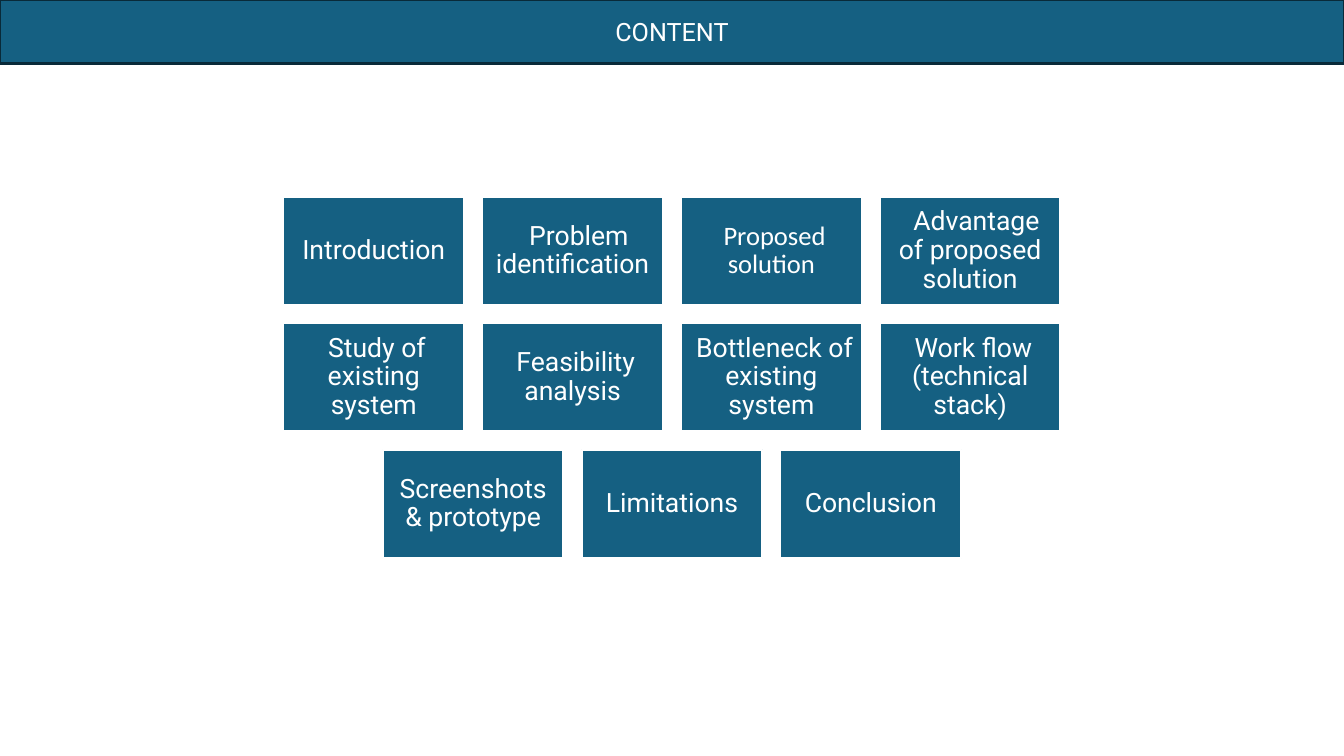
from pptx import Presentation
from pptx.dml.color import RGBColor
from pptx.enum.shapes import MSO_SHAPE as Preset
from pptx.enum.text import MSO_ANCHOR as Anchor, PP_ALIGN as Align
from pptx.util import Pt

TITLE = "CONTENT"
ROWS = [
    [("Introduction", 0, "Roboto"), ("Problem identification", 9, "Roboto"),
     ("Proposed solution", 4.5, "Calibri"), ("Advantage of proposed solution", 9, "Roboto")],
    [("Study of existing system", 4.5, "Roboto"), ("Feasibility analysis", 4.5, "Roboto"),
     ("Bottleneck of existing system", 4.5, "Roboto"), ("Work flow (technical stack)", 4.5, "Roboto")],
    [("Screenshots & prototype", 0, "Roboto"), ("Limitations", 0, "Roboto"),
     ("Conclusion", 0, "Roboto")],
]
BLUE, NAVY, WHITE = "156082", "092A39", "FFFFFF"
PAGE_WIDTH, PAGE_HEIGHT = 960, 540
HEADER_HEIGHT = 45.4
TILE_WIDTH, TILE_HEIGHT, GAP = 129.1, 77.5, 12.9
GRID_TOP = 140.4
TILE_INSET = 5.7


def color(value):
    return RGBColor.from_string(value)


def add_box(page, left, top, width, height, text, size, font, outline):
    box = page.shapes.add_shape(Preset.RECTANGLE, Pt(left), Pt(top), Pt(width), Pt(height))
    box.shadow.inherit = False
    box.fill.solid()
    box.fill.fore_color.rgb = color(BLUE)
    box.line.color.rgb = color(outline)
    box.line.width = Pt(1.5)
    frame = box.text_frame
    frame.text = text
    frame.word_wrap = True
    frame.vertical_anchor = Anchor.MIDDLE
    para = frame.paragraphs[0]
    para.alignment = Align.CENTER
    span = para.runs[0]
    span.font.size = Pt(size)
    span.font.name = font
    span.font.color.rgb = color(WHITE)
    return frame


def add_tile(page, left, top, text, indent, font):
    frame = add_box(page, left, top, TILE_WIDTH, TILE_HEIGHT, text, 19, font, WHITE)
    frame.margin_left = frame.margin_right = Pt(TILE_INSET)
    frame.margin_top = frame.margin_bottom = Pt(TILE_INSET)
    para = frame.paragraphs[0]
    para.line_spacing = 0.9
    if indent:
        para._p.get_or_add_pPr().set("indent", str(Pt(indent)))


def main():
    deck = Presentation()
    deck.slide_width, deck.slide_height = Pt(PAGE_WIDTH), Pt(PAGE_HEIGHT)
    page = deck.slides.add_slide(deck.slide_layouts[6])
    for row, tiles in enumerate(ROWS):
        row_width = len(tiles) * (TILE_WIDTH + GAP) - GAP
        row_left = (PAGE_WIDTH - row_width) / 2
        top = GRID_TOP + row * (TILE_HEIGHT + GAP)
        for column, (text, indent, font) in enumerate(tiles):
            add_tile(page, row_left + column * (TILE_WIDTH + GAP), top, text, indent, font)
    add_box(page, 0, 0, PAGE_WIDTH, HEADER_HEIGHT, TITLE, 18, "Roboto", NAVY)
    deck.save("out.pptx")


if __name__ == "__main__":
    main()
